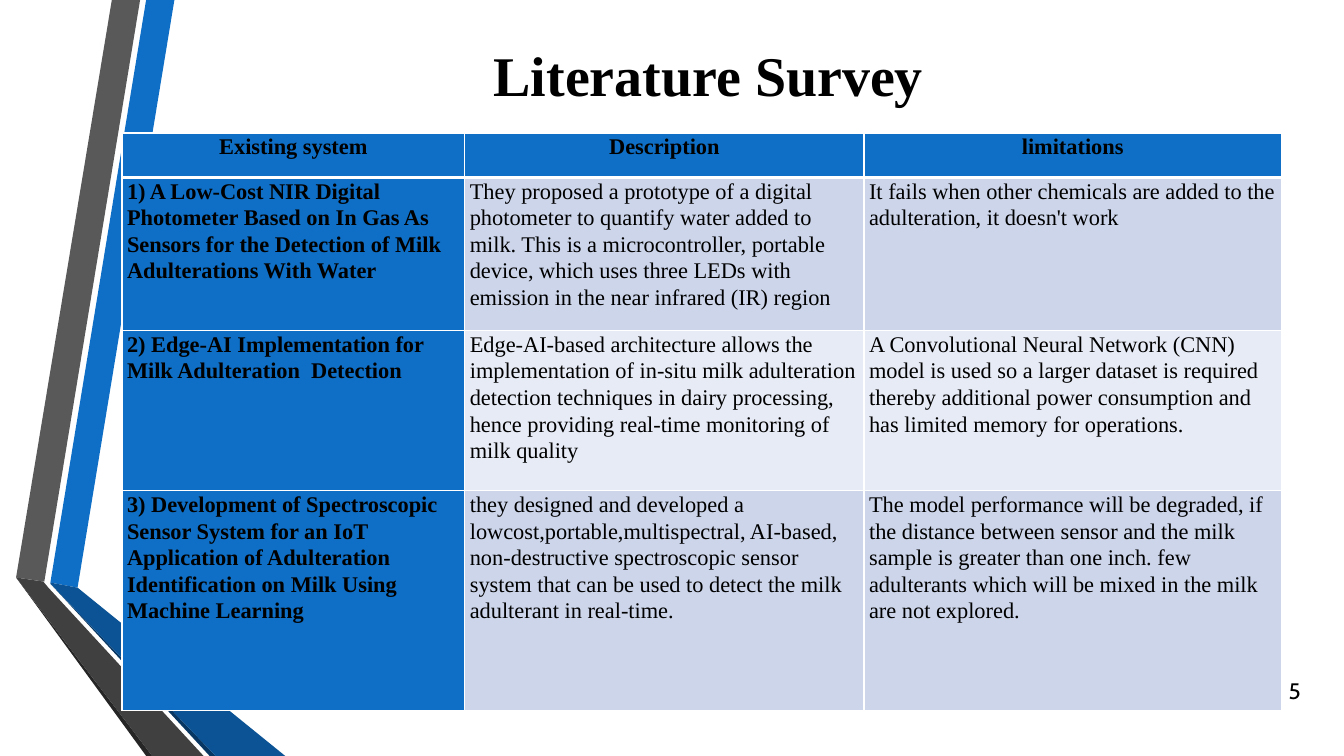
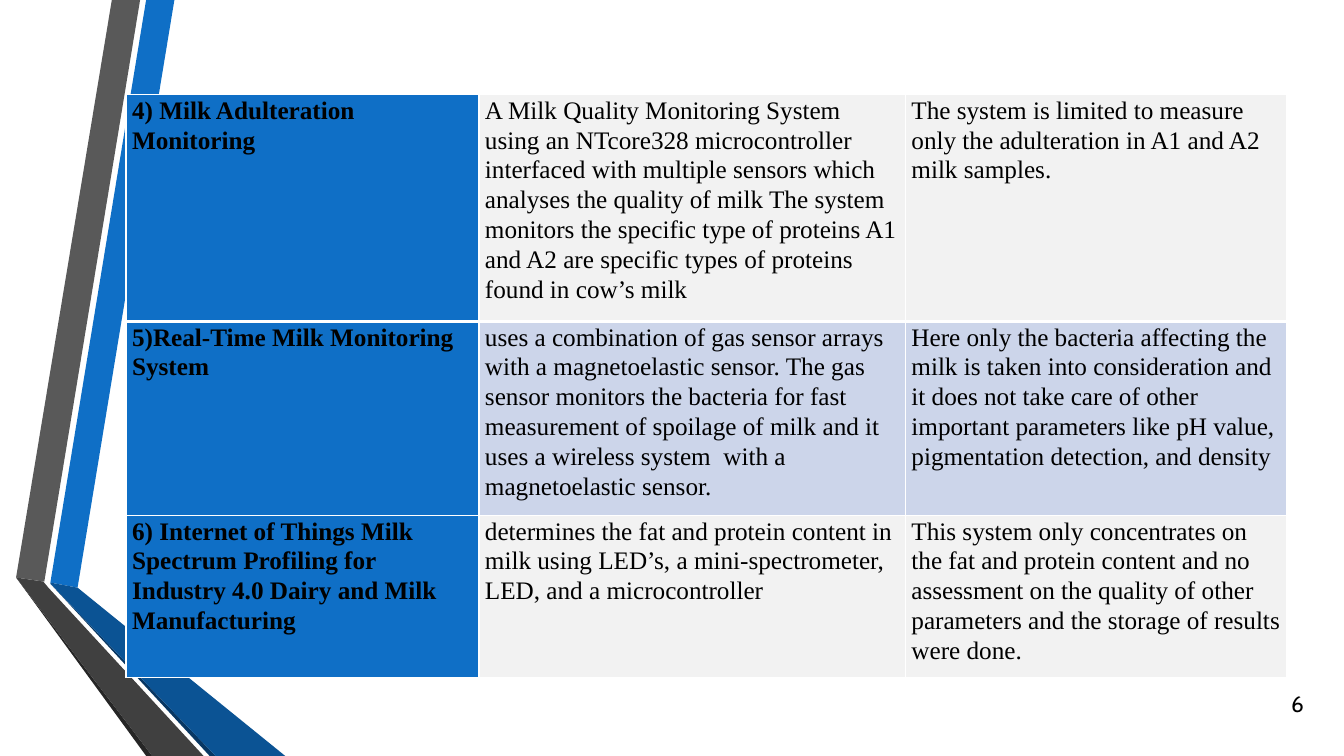
import lxml.etree
import pptx
import pptx.dml.color
import pptx.enum.text
import pptx.oxml.ns
import pptx.util

Inches = pptx.util.Inches
Pt = pptx.util.Pt
RGBColor = pptx.dml.color.RGBColor
Align = pptx.enum.text.PP_ALIGN
Anchor = pptx.enum.text.MSO_ANCHOR

BLACK = RGBColor(0x00, 0x00, 0x00)
WHITE = RGBColor(0xFF, 0xFF, 0xFF)
BLUE = RGBColor(0x0F, 0x6F, 0xC6)
DEEP_BLUE = RGBColor(0x0B, 0x53, 0x94)
NAVY = RGBColor(0x08, 0x37, 0x63)
GRAY = RGBColor(0x59, 0x59, 0x59)
DARK_GRAY = RGBColor(0x40, 0x40, 0x40)
CHARCOAL = RGBColor(0x26, 0x26, 0x26)
LAVENDER = RGBColor(0xCC, 0xD5, 0xEA)
PALE_LAVENDER = RGBColor(0xE7, 0xEB, 0xF5)
PALE_GRAY = RGBColor(0xF2, 0xF2, 0xF2)

SERIF = "Times New Roman"
SANS = "Cabin"
THIN, THICK = 1, 3

BANDS = [
    (BLUE, [(0.5, 5.78), (0.77, 5.83), (1.73, 0), (1.45, 0)]),
    (GRAY, [(1.39, 0), (1.11, 0), (0.16, 5.73), (0.44, 5.77)]),
    (CHARCOAL, [(0.16, 5.73), (1.45, 7.5), (1.51, 7.5)]),
    (NAVY, [(0.5, 5.79), (2.08, 7.5), (2.14, 7.5)]),
    (DEEP_BLUE, [(0.5, 5.79), (2.14, 7.5), (2.83, 7.5), (0.77, 5.83), (0.5, 5.78)]),
    (DARK_GRAY, [(2.02, 7.5), (0.48, 5.83), (0.43, 5.77), (0.16, 5.73), (1.51, 7.5)]),
]

HEADINGS = ("Existing system", "Description", "limitations")
FIRST_SYSTEMS = [
    (
        "1) A Low-Cost NIR Digital Photometer Based on In Gas As Sensors for the "
        "Detection of Milk Adulterations With Water",
        "They proposed a prototype of a digital photometer to quantify water added to "
        "milk. This is a microcontroller, portable device, which uses three LEDs with "
        "emission in the near infrared (IR) region",
        "It fails when other chemicals are added to the adulteration, it doesn't work",
    ),
    (
        "2) Edge-AI Implementation for Milk Adulteration  Detection",
        "Edge-AI-based architecture allows the implementation of in-situ milk "
        "adulteration detection techniques in dairy processing, hence providing "
        "real-time monitoring of milk quality",
        "A Convolutional Neural Network (CNN) model is used so a larger dataset is "
        "required thereby additional power consumption and has limited memory for "
        "operations.",
    ),
    (
        "3) Development of Spectroscopic Sensor System for an IoT Application of "
        "Adulteration Identification on Milk Using Machine Learning",
        "they designed and developed a lowcost,portable,multispectral, AI-based, "
        "non-destructive spectroscopic sensor system that can be used to detect the "
        "milk adulterant in real-time.",
        "The model performance will be degraded, if the distance between sensor and "
        "the milk sample is greater than one inch. few adulterants which will be mixed "
        "in the milk are not explored.",
    ),
]
LATER_SYSTEMS = [
    (
        "4) Milk Adulteration Monitoring",
        "A Milk Quality Monitoring System using an NTcore328 microcontroller "
        "interfaced with multiple sensors which analyses the quality of milk The system "
        "monitors the specific type of proteins A1 and A2 are specific types of "
        "proteins found in cow’s milk",
        "The system is limited to measure only the adulteration in A1 and A2 milk samples.",
    ),
    (
        "5)Real-Time Milk Monitoring System",
        "uses a combination of gas sensor arrays with a magnetoelastic sensor. The gas "
        "sensor monitors the bacteria for fast measurement of spoilage of milk and it "
        "uses a wireless system  with a magnetoelastic sensor.",
        "Here only the bacteria affecting the milk is taken into consideration and it "
        "does not take care of other important parameters like pH value, pigmentation "
        "detection, and density",
    ),
    (
        "6) Internet of Things Milk Spectrum Profiling for Industry 4.0 Dairy and Milk "
        "Manufacturing",
        "determines the fat and protein content in milk using LED’s, a "
        "mini-spectrometer, LED, and a microcontroller",
        "This system only concentrates on the fat and protein content and no assessment "
        "on the quality of other parameters and the storage of results were done.",
    ),
]


class SurveyDeck:
    """Holds the survey style and the slide being built."""

    def __init__(self):
        self.deck = pptx.Presentation()
        self.deck.slide_width = Inches(13.33)
        self.deck.slide_height = Inches(7.5)
        self.slide = None

    def add_slide(self):
        self.slide = self.deck.slides.add_slide(self.deck.slide_layouts[6])
        for color, points in BANDS:
            self.add_band(color, points)

    def add_band(self, color, points):
        corners = [(Inches(x), Inches(y)) for x, y in points]
        builder = self.slide.shapes.build_freeform(*corners[0], scale=1.0)
        builder.add_line_segments(corners[1:], close=True)
        band = builder.convert_to_shape()
        band.shadow.inherit = False
        band.fill.solid()
        band.fill.fore_color.rgb = color
        band.line.fill.background()

    def style_text(self, para, size, font, bold, align):
        para.alignment = align
        for span in para.runs:
            span.font.size = Pt(size)
            span.font.name = font
            span.font.bold = bold
            span.font.color.rgb = BLACK

    def add_text(self, text, place, size, font, bold, align, anchor):
        box = self.slide.shapes.add_textbox(*map(Inches, place))
        frame = box.text_frame
        frame.word_wrap = True
        frame.vertical_anchor = anchor
        frame.text = text
        self.style_text(frame.paragraphs[0], size, font, bold, align)

    def add_title(self, text):
        place = (1.65, 0.35, 10.75, 0.77)
        self.add_text(text, place, 40, SERIF, True, Align.CENTER, Anchor.TOP)

    def add_page_number(self, number, left, top):
        place = (left, top, 0.6, 0.4)
        self.add_text(str(number), place, 16, SANS, False, Align.RIGHT, Anchor.MIDDLE)

    def add_border(self, cell, side, width):
        qn = pptx.oxml.ns.qn
        properties = cell._tc.get_or_add_tcPr()
        line = lxml.etree.SubElement(properties, qn(f"a:ln{side}"), w=str(Pt(width)))
        fill = lxml.etree.SubElement(line, qn("a:solidFill"))
        lxml.etree.SubElement(fill, qn("a:srgbClr"), val=str(WHITE))

    def fill_cell(self, cell, text, color, size, inset, bold, align, top, bottom):
        cell.margin_left = cell.margin_right = Inches(inset)
        cell.margin_top = cell.margin_bottom = 0
        for side, width in (("L", THIN), ("R", THIN), ("T", top), ("B", bottom)):
            self.add_border(cell, side, width)
        cell.fill.solid()
        cell.fill.fore_color.rgb = color
        cell.text_frame.text = text
        para = cell.text_frame.paragraphs[0]
        para.line_spacing = 1.07
        para.space_after = Pt(8)
        self.style_text(para, size, SERIF, bold, align)

    def add_survey(self, rows, left, top, widths, heights, colors, size, inset, header=False):
        place = (left, top, sum(widths), sum(heights))
        shape = self.slide.shapes.add_table(len(rows), len(widths), *map(Inches, place))
        table = shape.table
        table.first_row = table.horz_banding = False
        for column, width in zip(table.columns, widths):
            column.width = Inches(width)
        for row, height in zip(table.rows, heights):
            row.height = Inches(height)
        for r, texts in enumerate(rows):
            heading = header and r == 0
            top_line = THICK if r == 1 else THIN
            bottom_line = THICK if r == 0 else THIN
            for c, text in enumerate(texts):
                self.fill_cell(
                    table.cell(r, c),
                    text,
                    BLUE if c == 0 else colors[r],
                    size,
                    inset,
                    heading or c == 0,
                    Align.CENTER if heading else Align.LEFT,
                    top_line,
                    bottom_line,
                )


def main():
    survey = SurveyDeck()

    survey.add_slide()
    survey.add_page_number(5, 12.4, 6.65)
    survey.add_survey(
        [HEADINGS] + FIRST_SYSTEMS,
        left=1.21,
        top=1.32,
        widths=(3.4, 3.96, 4.14),
        heights=(0.44, 1.52, 1.59, 2.18),
        colors=(BLUE, LAVENDER, PALE_LAVENDER, LAVENDER),
        size=16,
        inset=0.05,
        header=True,
    )
    survey.add_title("Literature Survey")

    survey.add_slide()
    survey.add_page_number(6, 12.43, 6.78)
    survey.add_survey(
        LATER_SYSTEMS,
        left=1.25,
        top=0.94,
        widths=(3.5, 4.23, 3.78),
        heights=(2.25, 1.92, 1.6),
        colors=(PALE_GRAY, LAVENDER, PALE_GRAY),
        size=18,
        inset=0.06,
    )

    survey.deck.save("out.pptx")


if __name__ == "__main__":
    main()
